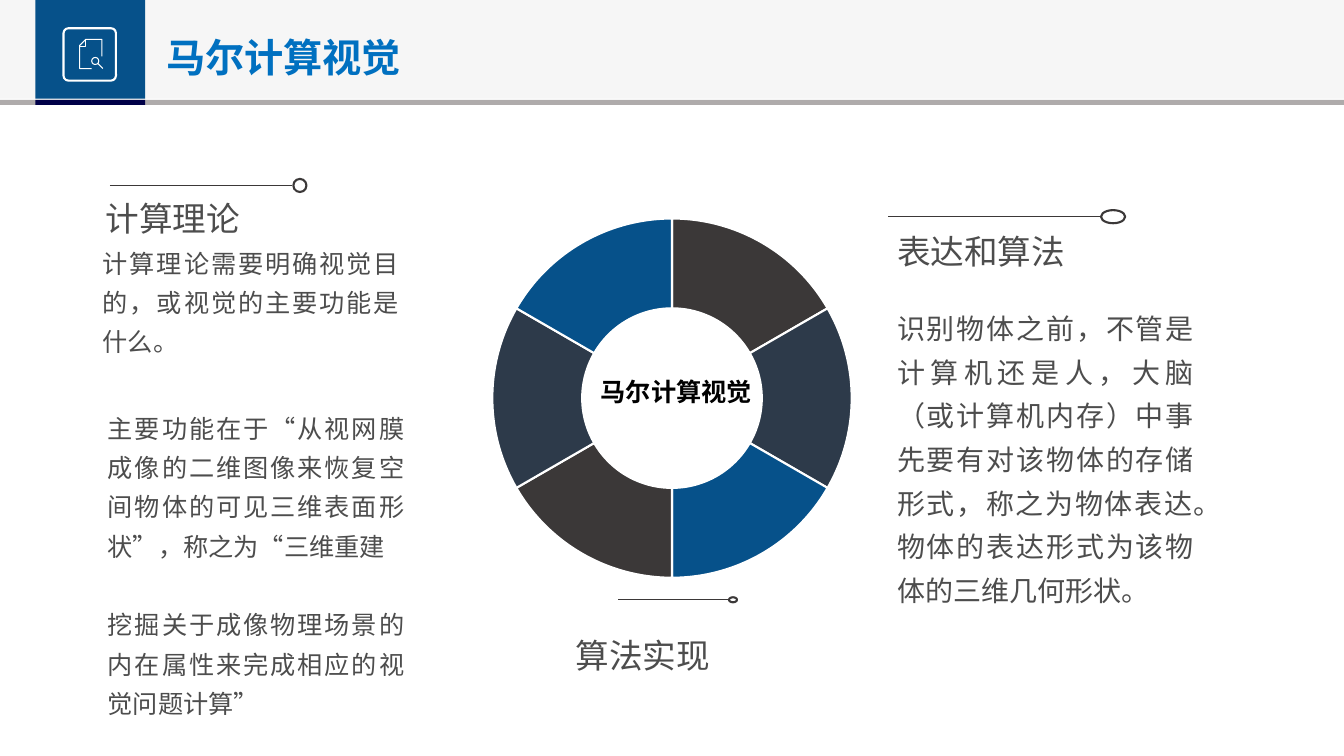
from lxml import etree
from pptx import Presentation
from pptx.chart.data import CategoryChartData
from pptx.dml.color import RGBColor
from pptx.enum.chart import XL_CHART_TYPE as CHART
from pptx.enum.shapes import MSO_CONNECTOR, MSO_SHAPE as SHAPE
from pptx.enum.text import MSO_AUTO_SIZE as AUTO, PP_ALIGN as ALIGN
from pptx.oxml.ns import qn
from pptx.util import Pt

PX = 9144  # 100 px to the inch
W, H = 1333, 750
LATIN, CJK = "Calibri", "Noto Sans CJK SC"
BLUE, NAVY, SLATE, DARK = "06518A", "000048", "2D3A4A", "3B3838"
TITLE_BLUE, GREY, TEXT = "0070C0", "AFABAB", "4D4D4D"
WHITE, BLACK = "FFFFFF", "000000"
TOPIC = "马尔计算视觉"


def emu(*lengths):
    return [round(n * PX) for n in lengths]


def rgb(color):
    return RGBColor.from_string(color)


def style(sp, fill=None, line=None, width=1.5):
    sp.shadow.inherit = False
    if fill:
        sp.fill.solid()
        sp.fill.fore_color.rgb = rgb(fill)
    else:
        sp.fill.background()
    if line:
        sp.line.color.rgb = rgb(line)
        sp.line.width = Pt(width)
    else:
        sp.line.fill.background()


def add_shape(s, kind, box, **look):
    sp = s.shapes.add_shape(kind, *emu(*box))
    style(sp, **look)
    return sp


def add_line(s, x1, x2, y):
    line = s.shapes.add_connector(MSO_CONNECTOR.STRAIGHT, *emu(x1, y, x2, y))
    line.line.color.rgb = rgb(DARK)
    line.line.width = Pt(1)
    etree.SubElement(line._element.spPr, qn("a:effectLst"))


def add_stroke(s, points):
    builder = s.shapes.build_freeform(*points[0], scale=PX)
    builder.add_line_segments(points[1:], close=False)
    style(builder.convert_to_shape(), line=WHITE, width=0.75)


def add_text(s, box, paragraphs, size, color=TEXT, font=LATIN, bold=False,
             body=False, gap=0):
    """Body text wraps, is justified and has wider line spacing."""
    tf = s.shapes.add_textbox(*emu(*box)).text_frame
    tf.word_wrap = body
    tf.auto_size = AUTO.SHAPE_TO_FIT_TEXT
    for i, text in enumerate(paragraphs):
        p = tf.add_paragraph() if i else tf.paragraphs[0]
        p.text = text
        if body:
            p.alignment = ALIGN.JUSTIFY
            p.line_spacing = 1.3
        if i:
            p.space_before = Pt(gap)
        p.font.size = Pt(size)
        p.font.name = font
        p.font.bold = bold
        p.font.color.rgb = rgb(color)


def header(s, x, y, w, h):
    bar = y + h + 1
    band = add_shape(s, SHAPE.RECTANGLE, (x, y, w, h), fill=GREY)
    color = band.fill._xPr.find(qn("a:solidFill"))[0]
    etree.SubElement(color, qn("a:alpha"), val="10000")
    add_shape(s, SHAPE.RECTANGLE, (x, bar, w, 5), fill=GREY)
    add_text(s, (x + 155, y + 28, 256, 57), [TOPIC], 28, TITLE_BLUE, CJK, True)
    add_shape(s, SHAPE.RECTANGLE, (x + 35, y, 109, h), fill=BLUE)
    add_shape(s, SHAPE.RECTANGLE, (x + 35, bar, 109, 5), fill=NAVY)
    search_icon(s, x + 63, y + 28, 52)


def search_icon(s, x, y, side):
    frame = add_shape(s, SHAPE.ROUNDED_RECTANGLE, (x, y, side, side), line=WHITE)
    frame.adjustments[0] = 0.095
    page = [(28, 40), (16, 40), (16, 17), (22, 11), (38, 11), (38, 28)]
    fold = [(16, 18), (22, 18), (22, 11)]
    handle = [(34, 35), (39, 40)]
    for points in (page, fold, handle):
        add_stroke(s, [(x + dx, y + dy) for dx, dy in points])
    add_shape(s, SHAPE.OVAL, (x + 28, y + 29, 7, 7), line=WHITE, width=0.75)


def ring(s, x, y, w, h):
    data = CategoryChartData()
    data.categories = [str(n) for n in range(1, 7)]
    data.add_series("Series 1", [17] * 6)
    chart = s.shapes.add_chart(CHART.DOUGHNUT, *emu(x, y, w, h), data).chart
    chart.has_legend = chart.has_title = False
    chart.font.name = CJK
    chart.font.size = Pt(10)
    chart.font.color.rgb = rgb(BLACK)
    plot = chart.plots[0]
    plot.vary_by_categories = True
    plot._element.find(qn("c:holeSize")).set("val", "46")
    for i, color in enumerate([DARK, SLATE, BLUE] * 2):
        fmt = plot.series[0].points[i].format
        fmt.fill.solid()
        fmt.fill.fore_color.rgb = rgb(color)
        fmt.line.color.rgb = rgb(WHITE)
        fmt.line.width = Pt(1.5)
    add_text(s, (x + 209, y + 165, 172, 40), [TOPIC], 18, BLACK, CJK, True)


def pointer(s, x, y, length, knob_w, knob_h):
    """Line that starts at x, y and ends in a hollow knob."""
    add_line(s, x, x + length, y)
    knob = (x + length + 1, y - knob_h / 2, knob_w, knob_h)
    add_shape(s, SHAPE.OVAL, knob, line=DARK)


def theory(s, x, y):
    pointer(s, x + 17, y, 181, 13, 13)
    add_text(s, (x + 3, y + 7, 155, 50), ["计算理论"], 24)
    add_text(s, (x, y + 48, 314, 124),
             ["计算理论需要明确视觉目的，或视觉的主要功能是什么。"], 18, body=True)
    add_text(s, (x + 5, y + 212, 314, 321),
             ["主要功能在于“从视网膜成像的二维图像来恢复空间物体的可见三维表面形状”，称之为“三维重建",
              "挖掘关于成像物理场景的内在属性来完成相应的视觉问题计算”"],
             18, font=CJK, body=True, gap=28)


def representation(s, x, y):
    pointer(s, x + 1, y, 210, 24, 13)
    add_text(s, (x, y + 9, 194, 50), ["表达和算法"], 24)
    add_text(s, (x, y + 79, 314, 312),
             ["识别物体之前，不管是计算机还是人，大脑（或计算机内存）中事先要有对该物体的"
              "存储形式，称之为物体表达。物体的表达形式为该物体的三维几何形状。"],
             20, body=True)


def implementation(s, x, y):
    pointer(s, x + 52, y, 109, 8, 5)
    add_text(s, (x, y + 30, 155, 50), ["算法实现"], 24)


def main():
    prs = Presentation()
    prs.slide_width, prs.slide_height = emu(W, H)
    s = prs.slides.add_slide(prs.slide_layouts[6])
    header(s, 0, 0, W, 98)
    ring(s, 377, 203, 579, 384)
    theory(s, 92, 184)
    representation(s, 880, 215)
    implementation(s, 561, 595)
    prs.save("out.pptx")


if __name__ == "__main__":
    main()
